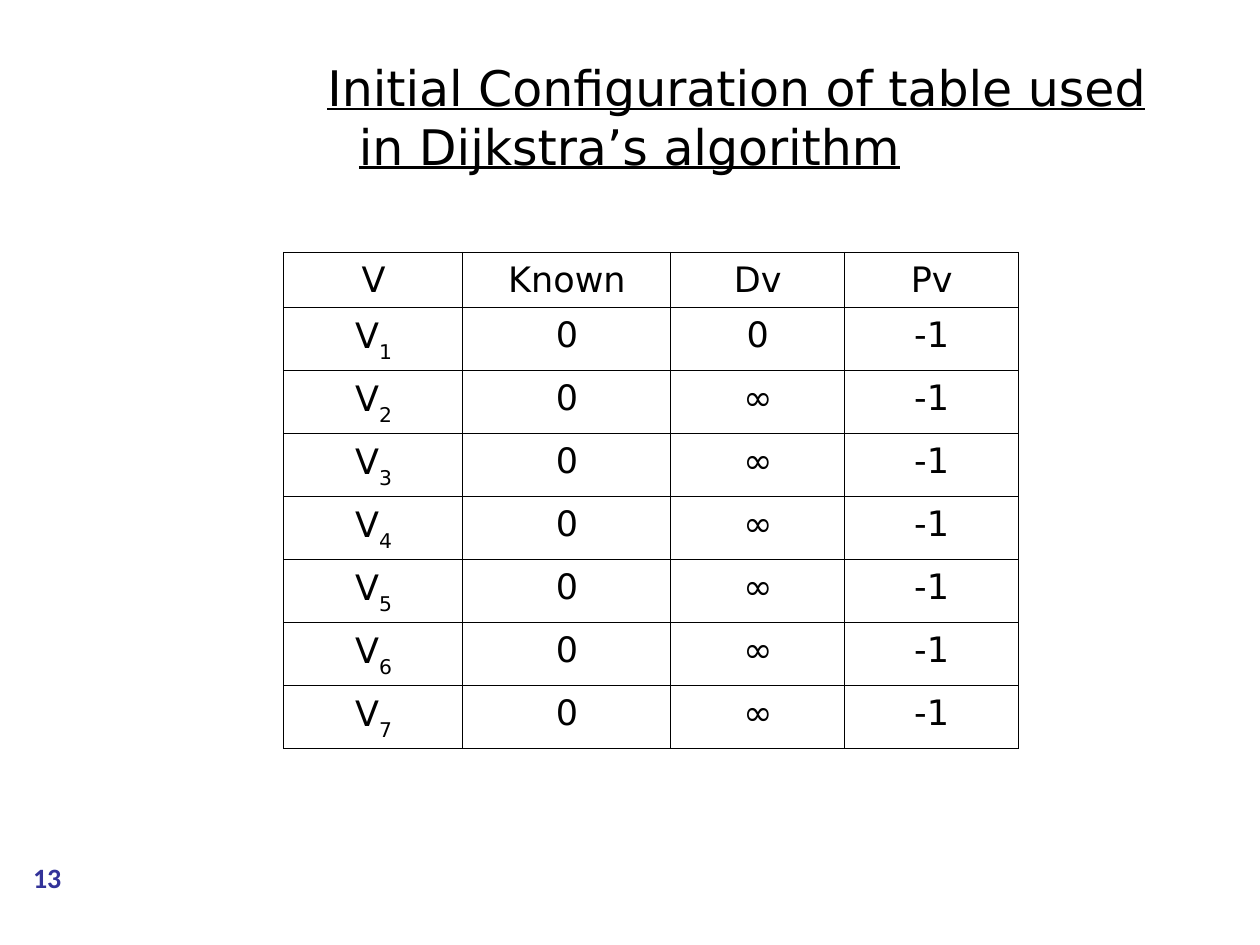
"""Build the slide showing the initial table for Dijkstra's algorithm."""
from dataclasses import dataclass

from lxml import etree
from pptx import Presentation
from pptx import util as u
from pptx.dml.color import RGBColor
from pptx.enum import shapes, text
from pptx.oxml import ns

TITLE = "Initial Configuration of table used in Dijkstra’s algorithm"
PAGE_NUMBER = "13"
HEADERS = ("V", "Known", "Dv", "Pv")
DISTANCES = ("0", "∞", "∞", "∞", "∞", "∞", "∞")
KNOWN, PREVIOUS = "0", "-1"

COLUMN_WIDTHS = (1.42, 1.65, 1.38, 1.38)
HEADER_HEIGHT, ROW_HEIGHT = 0.44, 0.5


@dataclass(frozen=True)
class Theme:
    ink: RGBColor = RGBColor(0, 0, 0)
    paper: RGBColor = RGBColor(255, 255, 255)
    accent: RGBColor = RGBColor(0x33, 0x33, 0x99)
    body_font: str = "DejaVu Sans"
    number_font: str = "Calibri"
    title_size: int = 28
    cell_size: int = 20
    number_size: int = 16
    border: float = 0.23


THEME = Theme()


def style(para, name, size, color):
    para.font.name = name
    para.font.size = u.Pt(size)
    para.font.color.rgb = color


def indent(para, left, first):
    properties = para._p.get_or_add_pPr()
    properties.set("marL", str(u.Inches(left)))
    properties.set("indent", str(u.Inches(first)))


def set_margins(frame, left, top, right, bottom):
    frame.margin_left, frame.margin_top = u.Inches(left), u.Inches(top)
    frame.margin_right, frame.margin_bottom = u.Inches(right), u.Inches(bottom)


def add_page_number(page):
    badge = page.shapes.add_shape(
        shapes.MSO_SHAPE.OVAL, u.Inches(0), u.Inches(6.8), u.Inches(0.75), u.Inches(0.33)
    )
    badge.shadow.inherit = False
    badge.fill.solid()
    badge.fill.fore_color.rgb = THEME.paper
    badge.line.color.rgb = THEME.paper
    badge.line.width = u.Pt(2)
    frame = badge.text_frame
    set_margins(frame, 0, 0, 0, 0)
    frame.vertical_anchor = text.MSO_ANCHOR.MIDDLE
    para = frame.paragraphs[0]
    para.text = PAGE_NUMBER
    para.alignment = text.PP_ALIGN.CENTER
    style(para, THEME.number_font, THEME.number_size, THEME.accent)
    para.font.bold = True


def add_title(page):
    box = page.shapes.add_textbox(u.Inches(0.5), u.Inches(0.21), u.Inches(9), u.Inches(1.43))
    frame = box.text_frame
    frame.word_wrap = True
    frame.vertical_anchor = text.MSO_ANCHOR.MIDDLE
    set_margins(frame, 0.1, 0.05, 0.1, 0.05)
    para = frame.paragraphs[0]
    para.text = TITLE
    indent(para, 2.25, -0.25)
    style(para, THEME.body_font, THEME.title_size, THEME.ink)
    para.font.underline = True


def add_borders(cell):
    properties = cell._tc.get_or_add_tcPr()
    for side in ("a:lnL", "a:lnR", "a:lnT", "a:lnB"):
        line = etree.SubElement(properties, ns.qn(side), w=str(u.Pt(THEME.border)))
        fill = etree.SubElement(line, ns.qn("a:solidFill"))
        etree.SubElement(fill, ns.qn("a:srgbClr"), val=str(THEME.ink))


def fill_cell(cell, content, subscript):
    add_borders(cell)
    cell.fill.background()
    set_margins(cell, 0.1, 0.07, 0.1, 0.05)
    para = cell.text_frame.paragraphs[0]
    para.alignment = text.PP_ALIGN.CENTER
    para.line_spacing = 0.96
    indent(para, 0.38, -0.37)
    style(para, THEME.body_font, THEME.cell_size, THEME.ink)
    para.add_run().text = content
    if subscript:
        span = para.add_run()
        span.text = subscript
        span.font._element.set("baseline", "-30000")


def add_table(page):
    rows = [[(header, "") for header in HEADERS]]
    for number, distance in enumerate(DISTANCES, 1):
        rows.append([("V", str(number)), (KNOWN, ""), (distance, ""), (PREVIOUS, "")])
    heights = [HEADER_HEIGHT] + [ROW_HEIGHT] * len(DISTANCES)
    table = page.shapes.add_table(
        len(rows), len(HEADERS), u.Inches(2.25), u.Inches(2),
        u.Inches(sum(COLUMN_WIDTHS)), u.Inches(sum(heights)),
    ).table
    table.first_row = table.horz_banding = False
    for column, width in zip(table.columns, COLUMN_WIDTHS):
        column.width = u.Inches(width)
    for row, height, values in zip(table.rows, heights, rows):
        row.height = u.Inches(height)
        for cell, (content, subscript) in zip(row.cells, values):
            fill_cell(cell, content, subscript)


def main():
    deck = Presentation()
    deck.slide_width, deck.slide_height = u.Inches(10), u.Inches(7.5)
    page = deck.slides.add_slide(deck.slide_layouts[6])
    add_page_number(page)
    add_title(page)
    add_table(page)
    deck.save("out.pptx")


if __name__ == "__main__":
    main()
